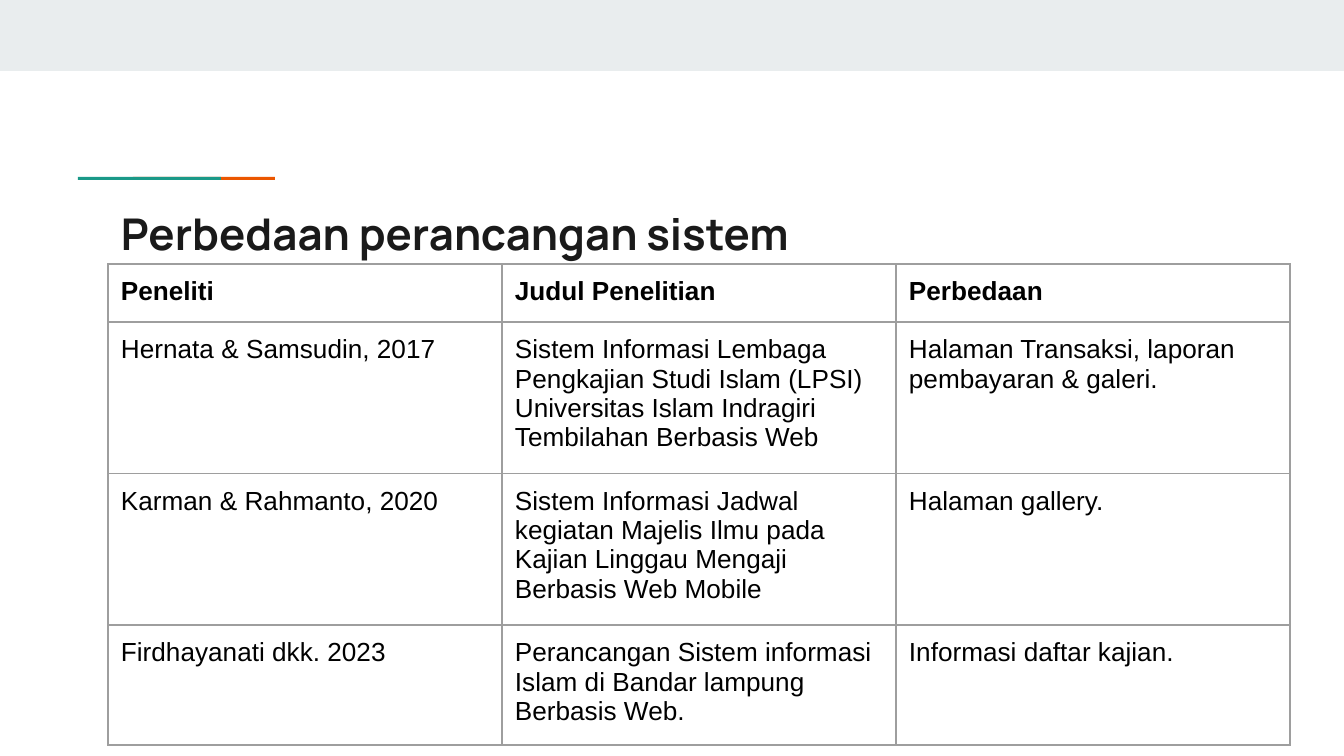
from typing import NamedTuple

from lxml.etree import SubElement
from pptx import Presentation
from pptx.dml.color import RGBColor
from pptx.enum.shapes import MSO_SHAPE
from pptx.enum.text import MSO_ANCHOR
from pptx.oxml.ns import qn
from pptx.util import Emu, Pt

EMU_PER_PX = 914400 / 134.4
INSET = 13
BORDER_COLOR = "9E9E9E"
BORDER_WIDTH = Pt(0.75)


class Bar(NamedTuple):
    left: int
    top: int
    width: int
    height: int
    color: str


class Study(NamedTuple):
    researcher: str
    title: str
    difference: str
    height: int


BARS = [
    Bar(0, 0, 1344, 71, "E9EDEE"),
    Bar(133, 177, 142, 3, "EB5600"),
    Bar(78, 177, 143, 3, "1A9988"),
]

HEADER = Study("Peneliti", "Judul Penelitian", "Perbedaan", 58)
STUDIES = [
    Study(
        "Hernata & Samsudin, 2017",
        "Sistem Informasi Lembaga Pengkajian Studi Islam (LPSI) "
        "Universitas Islam Indragiri Tembilahan Berbasis Web",
        "Halaman Transaksi, laporan pembayaran & galeri.",
        144,
    ),
    Study(
        "Karman & Rahmanto, 2020",
        "Sistem Informasi Jadwal kegiatan Majelis Ilmu pada "
        "Kajian Linggau Mengaji Berbasis Web Mobile",
        "Halaman gallery.",
        144,
    ),
    Study(
        "Firdhayanati dkk. 2023",
        "Perancangan Sistem informasi Islam di Bandar lampung Berbasis Web.",
        "Informasi daftar kajian.",
        115,
    ),
]


def px(length: int) -> Emu:
    return Emu(round(length * EMU_PER_PX))


def rgb(color: str) -> RGBColor:
    return RGBColor.from_string(color)


def style_font(font, name: str, size: float, color: str, bold: bool) -> None:
    font.name = name
    font.size = Pt(size)
    font.bold = bold
    font.color.rgb = rgb(color)


def set_insets(holder) -> None:
    """Give a text frame or a table cell the same margin on all sides."""
    holder.margin_left = holder.margin_right = px(INSET)
    holder.margin_top = holder.margin_bottom = px(INSET)


def draw_bar(slide, bar: Bar) -> None:
    shape = slide.shapes.add_shape(
        MSO_SHAPE.RECTANGLE, px(bar.left), px(bar.top), px(bar.width), px(bar.height)
    )
    shape.shadow.inherit = False
    shape.fill.solid()
    shape.fill.fore_color.rgb = rgb(bar.color)
    shape.line.fill.background()


def draw_heading(slide, text: str) -> None:
    frame = slide.shapes.add_textbox(px(108), px(194), px(1130), px(79)).text_frame
    frame.word_wrap = True
    frame.vertical_anchor = MSO_ANCHOR.MIDDLE
    set_insets(frame)
    paragraph = frame.paragraphs[0]
    paragraph.text = text
    style_font(paragraph.font, "Manrope", 23.4, "1A1A1A", True)


def set_borders(cell) -> None:
    properties = cell._tc.get_or_add_tcPr()
    for position, side in enumerate(("lnL", "lnR", "lnT", "lnB")):
        line = SubElement(properties, qn(f"a:{side}"), w=str(BORDER_WIDTH))
        fill = SubElement(line, qn("a:solidFill"))
        SubElement(fill, qn("a:srgbClr"), val=BORDER_COLOR)
        properties.insert(position, line)


def fill_cell(cell, text: str, bold: bool) -> None:
    cell.fill.background()
    set_insets(cell)
    set_borders(cell)
    paragraph = cell.text_frame.paragraphs[0]
    paragraph.text = text
    style_font(paragraph.font, "Arial", 14, "000000", bold)


def draw_table(slide, header: Study, studies: list[Study]) -> None:
    rows = [header, *studies]
    column_width = 394
    table = slide.shapes.add_table(
        len(rows), 3, px(108), px(264),
        px(3 * column_width), px(sum(row.height for row in rows)),
    ).table
    table.first_row = False
    table.horz_banding = False
    for column in table.columns:
        column.width = px(column_width)
    for row_index, row in enumerate(rows):
        table.rows[row_index].height = px(row.height)
        for column_index, text in enumerate((row.researcher, row.title, row.difference)):
            fill_cell(table.cell(row_index, column_index), text, row is header)


def main() -> None:
    presentation = Presentation()
    presentation.slide_width = px(1344)
    presentation.slide_height = px(756)
    slide = presentation.slides.add_slide(presentation.slide_layouts[6])
    for bar in BARS:
        draw_bar(slide, bar)
    draw_heading(slide, "Perbedaan perancangan sistem")
    draw_table(slide, HEADER, STUDIES)
    presentation.save("out.pptx")


if __name__ == "__main__":
    main()
